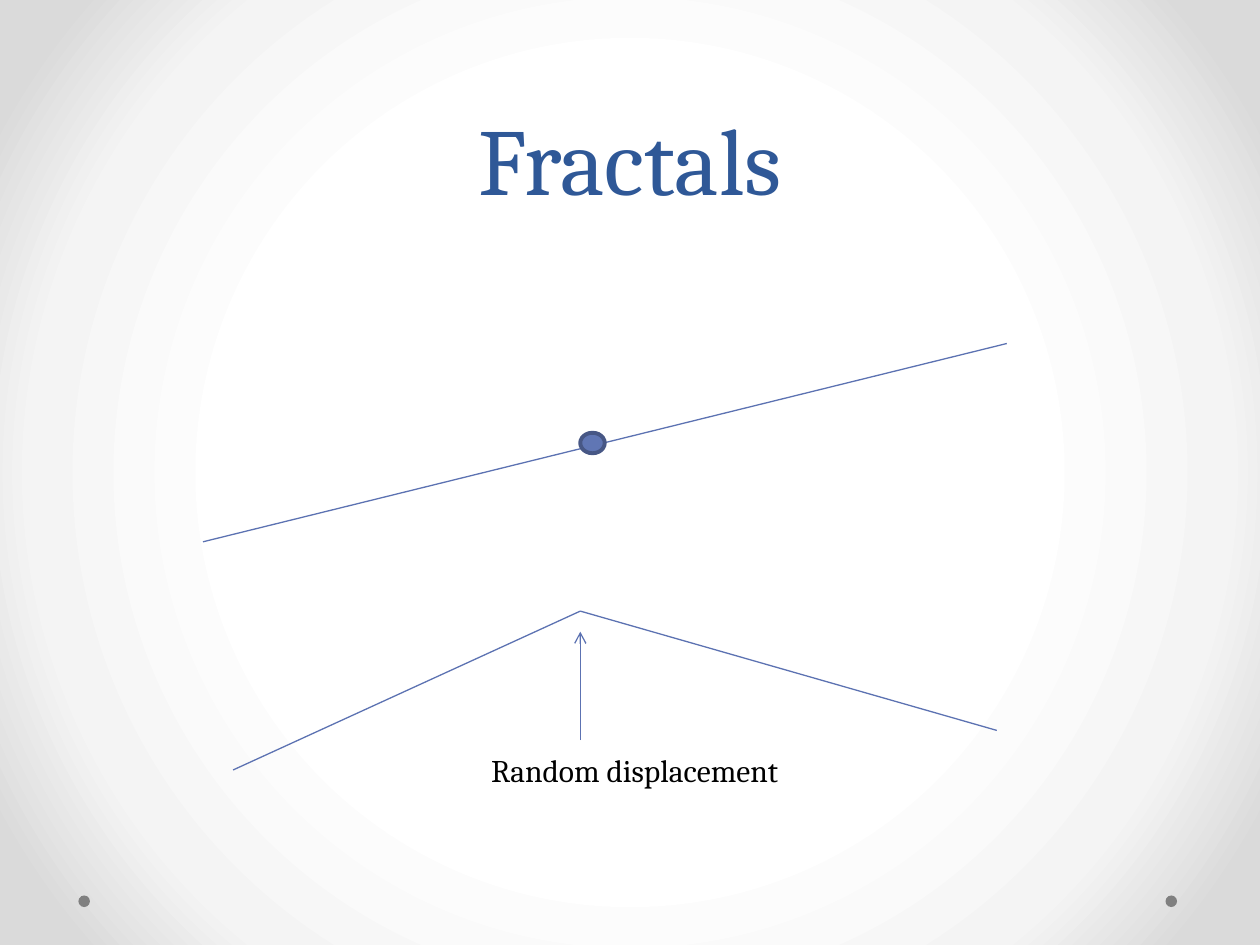
"""Build a slide showing midpoint displacement of a line for fractals."""
from lxml import etree
from pptx import Presentation
from pptx.dml.color import RGBColor
from pptx.enum.shapes import MSO_CONNECTOR, MSO_SHAPE
from pptx.enum.text import MSO_ANCHOR, MSO_AUTO_SIZE, PP_ALIGN
from pptx.oxml.ns import qn
from pptx.util import Pt

STRAIGHT = MSO_CONNECTOR.STRAIGHT
OVAL = MSO_SHAPE.OVAL
BOTTOM = MSO_ANCHOR.BOTTOM
FIT_SHAPE = MSO_AUTO_SIZE.SHAPE_TO_FIT_TEXT
LEFT, CENTER = PP_ALIGN.LEFT, PP_ALIGN.CENTER

FONT = "Cambria"
COLORS = {
    "title": "2F5897",
    "label": "000000",
    "line": "5C72B2",
    "midpoint": "6076B4",
    "midpoint_edge": "475785",
    "corner_dot": "808080",
}
BACKGROUND_STOPS = [(50, "FFFFFF"), (76, "F4F4F4"), (92, "DADADA")]


def color(name):
    return RGBColor.from_string(COLORS[name])


def set_background(page):
    page.background.fill.gradient()
    gradient = page.element.find(".//" + qn("a:gradFill"))
    for child in list(gradient):
        gradient.remove(child)
    stops = etree.SubElement(gradient, qn("a:gsLst"))
    for percent, value in BACKGROUND_STOPS:
        stop = etree.SubElement(stops, qn("a:gs"), pos=str(percent * 1000))
        etree.SubElement(stop, qn("a:srgbClr"), val=value)
    circle = etree.SubElement(gradient, qn("a:path"), path="circle")
    sides = dict.fromkeys("ltrb", "50000")
    etree.SubElement(circle, qn("a:fillToRect"), **sides)


def write_text(frame, text, size, ink, align=LEFT, spacing=None):
    para = frame.paragraphs[0]
    para.alignment = align
    if spacing:
        para.line_spacing = Pt(spacing)
    span = para.add_run()
    span.text = text
    span.font.name = FONT
    span.font.size = Pt(size)
    span.font.color.rgb = color(ink)


def add_title(page, text):
    title = page.shapes.title
    title.left, title.top, title.width, title.height = Pt(36), Pt(0), Pt(648), Pt(126)
    title.text_frame.vertical_anchor = BOTTOM
    write_text(title.text_frame, text, size=54, ink="title", align=CENTER, spacing=58)


def add_label(page, text, left, top, width, height):
    box = page.shapes.add_textbox(Pt(left), Pt(top), Pt(width), Pt(height))
    box.text_frame.word_wrap = False
    box.text_frame.auto_size = FIT_SHAPE
    write_text(box.text_frame, text, size=18, ink="label")


def add_dot(page, left, top, width, height, fill, edge=None):
    dot = page.shapes.add_shape(OVAL, Pt(left), Pt(top), Pt(width), Pt(height))
    dot.shadow.inherit = False
    dot.fill.solid()
    dot.fill.fore_color.rgb = color(fill)
    if edge:
        dot.line.color.rgb = color(edge)
        dot.line.width = Pt(2.25)
    else:
        dot.line.fill.background()


def add_line(page, start, end, arrow=False):
    points = [Pt(value) for value in (*start, *end)]
    line = page.shapes.add_connector(STRAIGHT, *points)
    line.line.color.rgb = color("line")
    line.line.width = Pt(0.75)
    if arrow:
        etree.SubElement(line.line._get_or_add_ln(), qn("a:tailEnd"), type="arrow")
    etree.SubElement(line._element.spPr, qn("a:effectLst"))


def main():
    deck = Presentation()
    deck.slide_width, deck.slide_height = Pt(720), Pt(540)
    page = deck.slides.add_slide(deck.slide_layouts[5])
    set_background(page)
    for left in (666, 44.8):
        add_dot(page, left, 511.7, 6.6, 6.6, fill="corner_dot")
    add_title(page, "Fractals")

    add_line(page, (116, 309.6), (575.3, 196.3))
    add_dot(page, 331.6, 247.3, 14, 11.7, fill="midpoint", edge="midpoint_edge")

    peak = (331.6, 349.2)
    add_line(page, (133.2, 440), peak)
    add_line(page, peak, (569.6, 417.4))
    add_line(page, (peak[0], 423), (peak[0], 361), arrow=True)
    add_label(page, "Random displacement", 273.6, 425.5, 195.8, 29)
    deck.save("out.pptx")


if __name__ == "__main__":
    main()
